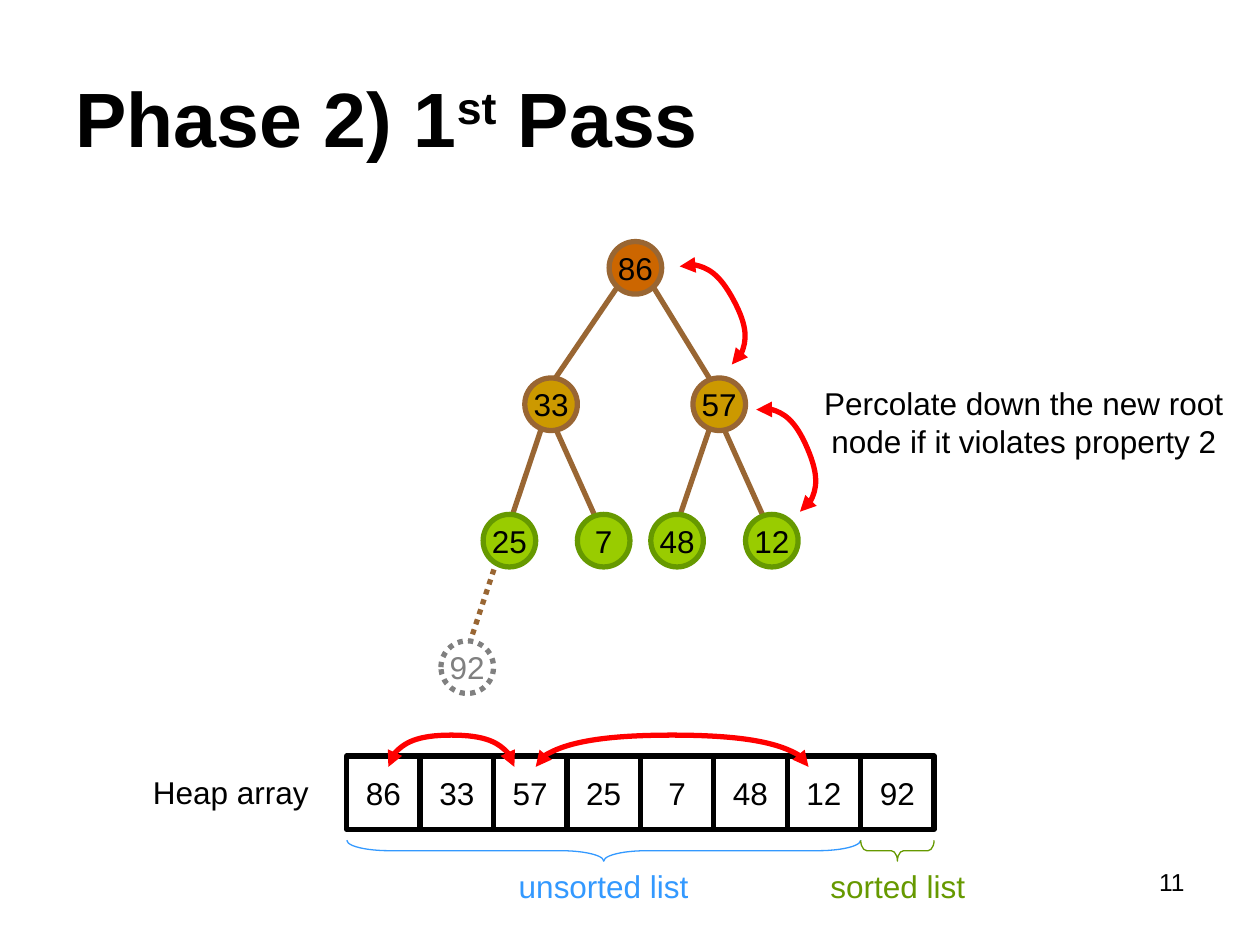
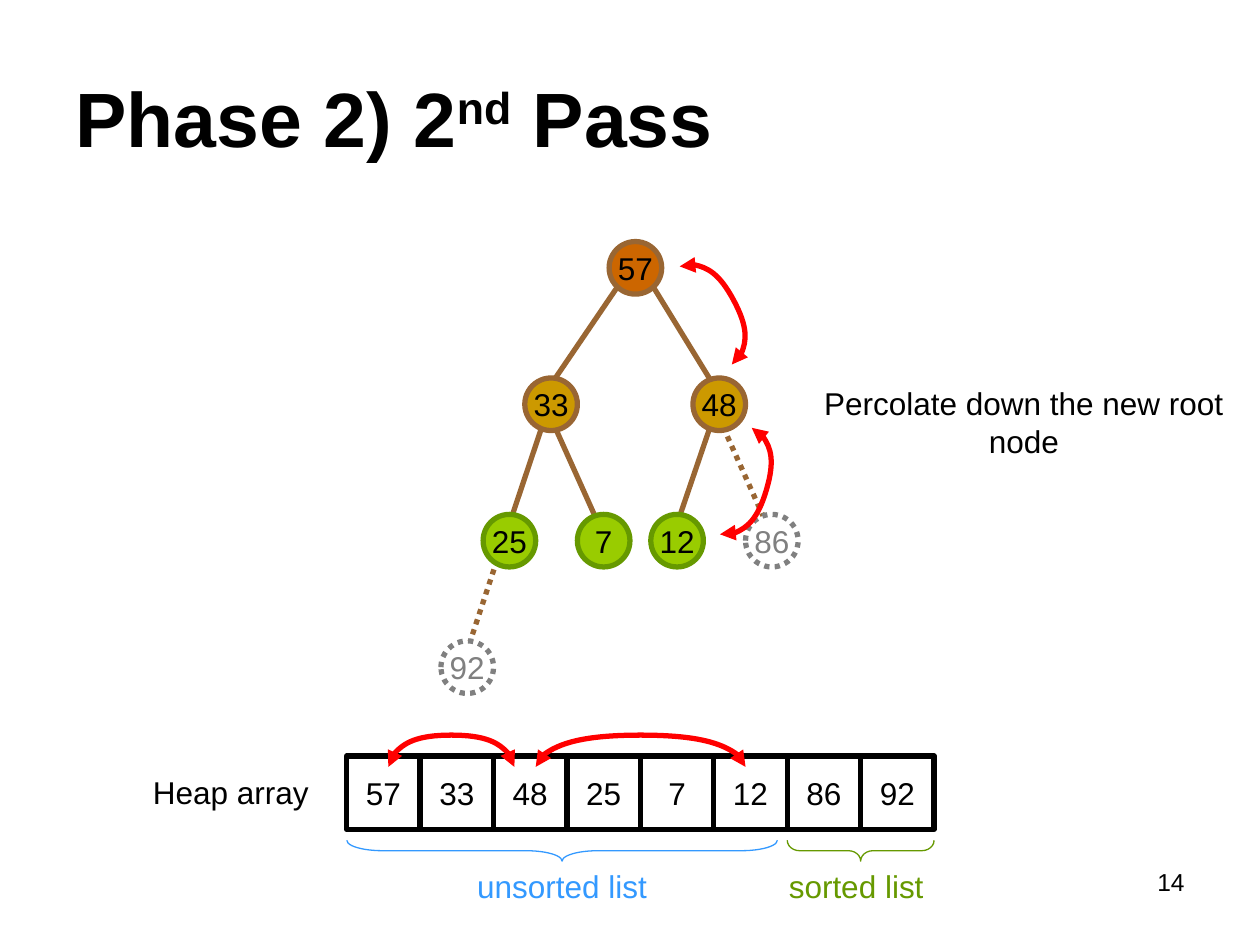
import lxml.etree
import pptx
import pptx.dml.color
import pptx.enum.dml
import pptx.enum.shapes
import pptx.enum.text
import pptx.oxml.ns
import pptx.util

Cm, Pt = pptx.util.Cm, pptx.util.Pt
qn = pptx.oxml.ns.qn
ALIGN = pptx.enum.text.PP_ALIGN
MIDDLE = pptx.enum.text.MSO_ANCHOR.MIDDLE
SHAPE = pptx.enum.shapes.MSO_SHAPE

FONT = "Arial"
COLORS = {
    "text": "000000", "cell": "FFFFFF", "edge": "996633",
    "root": "CC6600", "inner": "CC9900", "leaf": "99CC00", "leaf_line": "669900",
    "removed": "808080", "swap": "FF0000", "unsorted": "3399FF", "sorted": "669900",
}

# Heap array, in cm
CELL = 1.48
ARRAY_LEFT, ARRAY_TOP = 6.99, 15.24
BRACE_DEPTH, BRACE_MIDDLE = 0.42, 17.15
LABEL_TOP, LABEL_WIDTH, LABEL_STEP = 17.36, 4.45, 5.93

# Heap tree, in cm: node centres in heap order
NODE = 1.06
CENTRES = [(12.81, 5.4), (11.11, 8.15), (14.5, 8.15), (10.27, 10.9),
           (12.17, 10.9), (13.65, 10.9), (15.56, 10.9), (9.42, 13.45)]
# Where edges leave a parent, per level, as offsets from its centre: (left, right, down)
EDGE_STARTS = [(-0.32, 0.32, 0.32), (-0.21, 0.11, 0.53), (-0.23, 0.23, 0.33)]
EDGE_END_LEFT, EDGE_END_RIGHT, EDGE_END_UP = 0.04, -0.16, 0.46

# Swap arcs: left, top, width, rotation
ARC_HEIGHT = 0.64
ROOT_SWAP = (13.39, 5.89, 2.24, 62)
FIRST_ARRAY_SWAP = (7.83, 14.82, 2.54, 0)

PASSES = [
    {"number": "11", "title": ("Phase 2) 1", "st", " Pass"),
     "heap": [86, 33, 57, 25, 7, 48, 12, 92], "size": 7, "unsorted_width": 10.36,
     "note": "Percolate down the new root node if it violates property 2",
     "swaps": [(14.86, 8.84, 2.24, 66.8), (10.8, 14.82, 5.5, 0)]},
    {"number": "14", "title": ("Phase 2) 2", "nd", " Pass"),
     "heap": [57, 33, 48, 25, 7, 12, 86, 92], "size": 6, "unsorted_width": 8.68,
     "note": "Percolate down the new root node",
     "swaps": [(14.02, 9.47, 2.24, 106.6), (10.8, 14.82, 4.23, 0)]},
]


def rgb(name):
    return pptx.dml.color.RGBColor.from_string(COLORS[name])


def style_line(line, color, width=3, dotted=False):
    line.color.rgb = rgb(color)
    line.width = Pt(width)
    if dotted:
        line.dash_style = pptx.enum.dml.MSO_LINE.ROUND_DOT


def style_paragraph(p, color="text", size=18, align=ALIGN.CENTER, bold=False):
    p.alignment = align
    p.font.name = FONT
    p.font.size = Pt(size)
    p.font.bold = bold
    p.font.color.rgb = rgb(color)


def add_title(slide, parts):
    """Fill the title; the middle part is superscript."""
    s = slide.shapes.title
    s.left, s.top, s.width, s.height = Cm(1.27), Cm(0.76), Cm(22.86), Cm(3.18)
    tf = s.text_frame
    tf.auto_size = pptx.enum.text.MSO_AUTO_SIZE.NONE
    tf.vertical_anchor = MIDDLE
    p = tf.paragraphs[0]
    for part in parts:
        p.add_run().text = part
    p.runs[1]._r.get_or_add_rPr().set("baseline", "30000")
    style_paragraph(p, size=44, align=ALIGN.LEFT, bold=True)


def add_label(slide, text, left, top, width, height=1.02, **style):
    tf = slide.shapes.add_textbox(Cm(left), Cm(top), Cm(width), Cm(height)).text_frame
    tf.word_wrap = True
    tf.text = text
    style_paragraph(tf.paragraphs[0], **style)


def add_value(slide, kind, value, left, top, size, fill, line, color="text", dotted=False):
    """Add a square-sized shape holding one heap value."""
    s = slide.shapes.add_shape(kind, Cm(left), Cm(top), Cm(size), Cm(size))
    s.shadow.inherit = False
    s.fill.solid()
    s.fill.fore_color.rgb = rgb(fill)
    style_line(s.line, line, dotted=dotted)
    tf = s.text_frame
    tf.word_wrap = False
    tf.vertical_anchor = MIDDLE
    tf.text = str(value)
    style_paragraph(tf.paragraphs[0], color)


def add_edge(slide, child, dotted):
    parent = (child - 1) // 2
    is_left = child % 2 == 1
    left, right, down = EDGE_STARTS[(parent + 1).bit_length() - 1]
    (px, py), (cx, cy) = CENTRES[parent], CENTRES[child]
    s = slide.shapes.add_connector(
        pptx.enum.shapes.MSO_CONNECTOR.STRAIGHT,
        Cm(cx + (EDGE_END_LEFT if is_left else EDGE_END_RIGHT)), Cm(cy - EDGE_END_UP),
        Cm(px + (left if is_left else right)), Cm(py + down))
    style_line(s.line, "edge", dotted=dotted)
    lxml.etree.SubElement(s._element.spPr, qn("a:effectLst"))


def add_tree(slide, heap, size):
    for child in range(1, len(heap)):
        add_edge(slide, child, dotted=child >= size)
    for i, (value, (x, y)) in enumerate(zip(heap, CENTRES)):
        if i >= size:
            look = ("cell", "removed", "removed", True)
        elif i == 0:
            look = ("root", "edge")
        elif i < 3:
            look = ("inner", "edge")
        else:
            look = ("leaf", "leaf_line")
        add_value(slide, SHAPE.OVAL, value, x - NODE / 2, y - NODE / 2, NODE, *look)


def add_brace(slide, left, width, color):
    """Add a brace that opens upwards over the given span."""
    s = slide.shapes.add_shape(
        SHAPE.RIGHT_BRACE, Cm(left + (width - BRACE_DEPTH) / 2),
        Cm(BRACE_MIDDLE - width / 2), Cm(BRACE_DEPTH), Cm(width))
    s.rotation = 90
    s.adjustments[0] = width / 12 / BRACE_DEPTH
    s.shadow.inherit = False
    s.fill.background()
    style_line(s.line, color, 0.75)


def add_array(slide, heap, size, unsorted_width):
    for i, value in enumerate(heap):
        add_value(slide, SHAPE.RECTANGLE, value, ARRAY_LEFT + i * CELL, ARRAY_TOP,
                  CELL, "cell", "text")
    add_label(slide, "Heap array", 2.75, 15.45, 3.81)
    add_brace(slide, ARRAY_LEFT, unsorted_width, "unsorted")
    add_brace(slide, ARRAY_LEFT + size * CELL, (len(heap) - size) * CELL, "sorted")
    label_left = ARRAY_LEFT + (unsorted_width - LABEL_WIDTH) / 2
    for i, name in enumerate(("unsorted", "sorted")):
        add_label(slide, f"{name} list", label_left + i * LABEL_STEP, LABEL_TOP,
                  LABEL_WIDTH, color=name)


def add_swap(slide, left, top, width, rotation):
    """Add a half-ellipse arc with an arrowhead at each end."""
    k = 0.55  # control point distance for a quarter ellipse
    unit_points = [(1, 1), (1, 1 - k), ((1 + k) / 2, 0), (0.5, 0),
                   ((1 - k) / 2, 0), (0, 1 - k), (0, 1)]
    points = [(Cm(left + x * width), Cm(top + y * ARC_HEIGHT)) for x, y in unit_points]
    builder = slide.shapes.build_freeform(*points[0])
    builder.add_line_segments(points[1:], close=False)
    s = builder.convert_to_shape()
    segments = list(s._element.iter(qn("a:lnTo")))
    for i in range(0, len(segments), 3):
        curve = lxml.etree.Element(qn("a:cubicBezTo"))
        segments[i].addprevious(curve)
        for segment in segments[i:i + 3]:
            curve.append(segment[0])
            segment.getparent().remove(segment)
    s.rotation = rotation
    s.shadow.inherit = False
    s.fill.background()
    style_line(s.line, "swap")
    ln = s._element.spPr.find(qn("a:ln"))
    for end in ("a:headEnd", "a:tailEnd"):
        lxml.etree.SubElement(ln, qn(end), type="triangle")


def add_pass(prs, step):
    slide = prs.slides.add_slide(prs.slide_layouts.get_by_name("Title Only"))
    add_title(slide, step["title"])
    add_label(slide, step["number"], 18.2, 17.36, 5.93, 1.32, size=14, align=ALIGN.RIGHT)
    add_array(slide, step["heap"], step["size"], step["unsorted_width"])
    add_tree(slide, step["heap"], step["size"])
    add_label(slide, step["note"], 16.09, 7.62, 9.1, 1.78)
    for swap in [ROOT_SWAP, FIRST_ARRAY_SWAP, *step["swaps"]]:
        add_swap(slide, *swap)


def main():
    prs = pptx.Presentation()
    prs.slide_width, prs.slide_height = Cm(25.4), Cm(19.05)
    for step in PASSES:
        add_pass(prs, step)
    prs.save("out.pptx")


if __name__ == "__main__":
    main()
